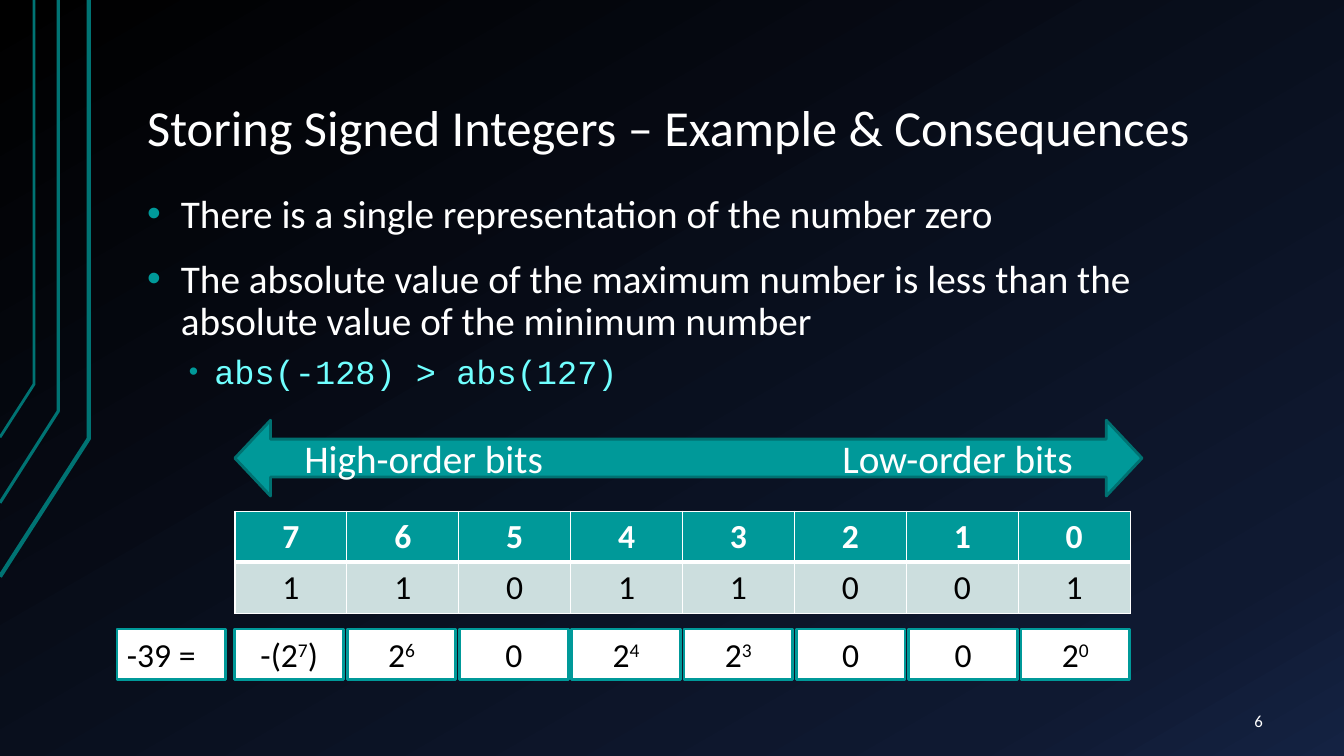
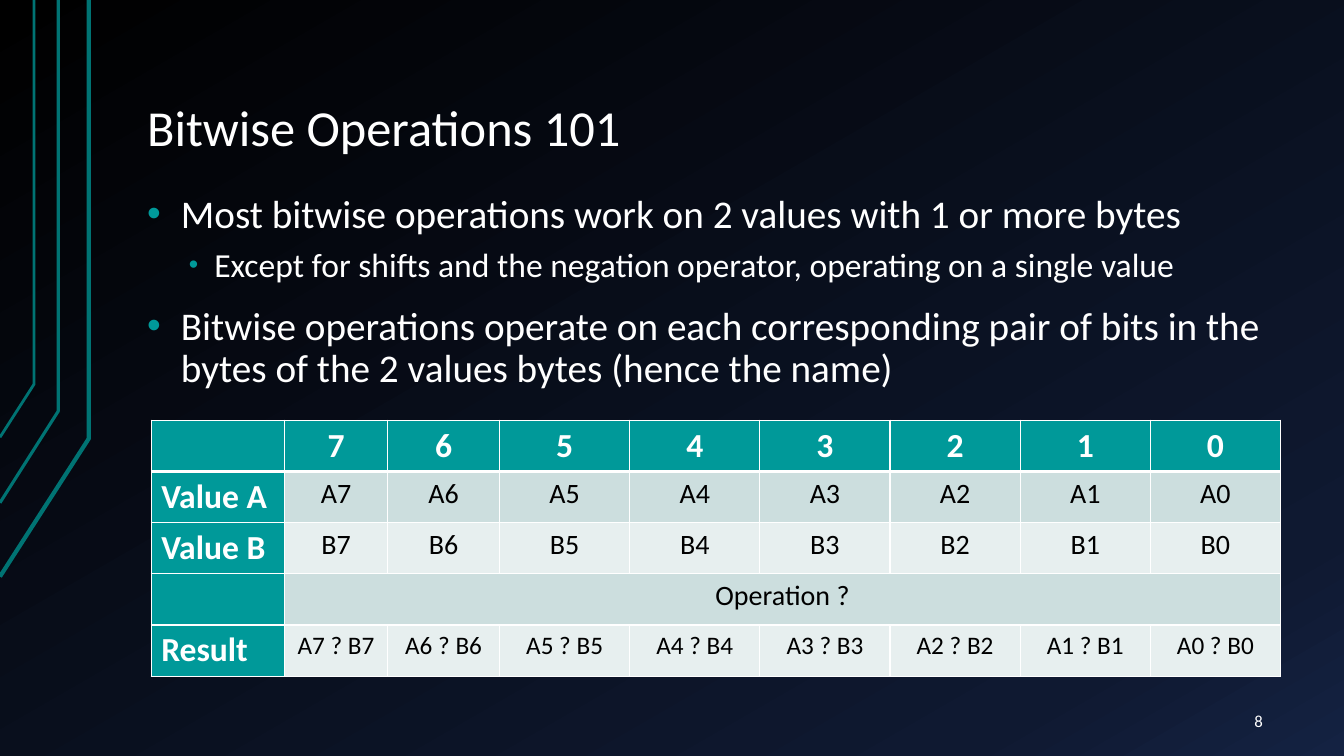
from copy import deepcopy
from typing import NamedTuple

from lxml import etree
from pptx import Presentation
from pptx.dml.color import RGBColor
from pptx.enum.shapes import MSO_SHAPE
from pptx.enum.text import MSO_ANCHOR, MSO_AUTO_SIZE, PP_ALIGN
from pptx.oxml.ns import qn
from pptx.presentation import Presentation as Deck
from pptx.slide import Slide
from pptx.table import _Cell
from pptx.text.text import TextFrame, _Paragraph
from pptx.util import Cm, Pt

LEFT, CENTER, RIGHT = PP_ALIGN.LEFT, PP_ALIGN.CENTER, PP_ALIGN.RIGHT
TOP, MIDDLE, BOTTOM = MSO_ANCHOR.TOP, MSO_ANCHOR.MIDDLE, MSO_ANCHOR.BOTTOM
NO_FIT = MSO_AUTO_SIZE.NONE
RECT, DOUBLE_ARROW = MSO_SHAPE.RECTANGLE, MSO_SHAPE.LEFT_RIGHT_ARROW

WHITE, BLACK, TEAL, AQUA = "FFFFFF", "000000", "009999", "70FFFF"
DARK_TEAL, ARROW_EDGE = "007373", "007171"
BAND, LIGHT_BAND = "CCDEDE", "E7EFEF"
BODY_FONT, CODE_FONT = "Calibri", "Courier New"
GRADIENT = [(0, BLACK), (0.85, "0F1931"), (1, "142242")]
ROW_HEIGHT = 1.29


class Box(NamedTuple):
    left: float
    top: float
    width: float
    height: float


class Bullet(NamedTuple):
    text: str
    level: int = 0
    font: str = BODY_FONT
    color: str = WHITE


class Level(NamedTuple):
    margin: float
    hanging: float
    size: int
    before: int
    bullet_pct: int


class Trace(NamedTuple):
    x: float
    bend_y: float
    end_y: float
    weight: float


class Power(NamedTuple):
    base: str
    exponent: str = ""
    tail: str = ""


TITLE_BOX = Box(3.38, 0.76, 28.78, 3.4)
BODY_BOX = Box(3.38, 4.72, 28.78, 12.4)
NUMBER_BOX = Box(29.34, 17.65, 2.82, 1.02)
LEVELS = [Level(0.85, 0.85, 28, 16, 100), Level(1.69, 0.64, 24, 8, 80)]
TRACES = [
    Trace(2.24, 11.05, 14.53, 3),
    Trace(1.47, 10.36, 12.67, 2.25),
    Trace(0.86, 9.68, 11.02, 2),
]


# Shared helpers
def rgb(value: str) -> RGBColor:
    return RGBColor.from_string(value)


def lengths(box: Box) -> tuple[Cm, ...]:
    return tuple(Cm(v) for v in box)


def place(sp, box: Box) -> None:
    sp.left, sp.top, sp.width, sp.height = lengths(box)


def add_run(p: _Paragraph, text: str, *, size: float, color: str = WHITE,
            font: str = BODY_FONT, bold: bool = False, raised: bool = False) -> None:
    r = p.add_run()
    r.text = text
    r.font.size, r.font.name, r.font.bold = Pt(size), font, bold
    r.font.color.rgb = rgb(color)
    if raised:
        r._r.get_or_add_rPr().set("baseline", "30000")


def frame(tf: TextFrame, anchor: MSO_ANCHOR) -> None:
    tf.word_wrap, tf.auto_size, tf.vertical_anchor = True, NO_FIT, anchor
    tf.margin_left = tf.margin_right = Cm(0.33)
    tf.margin_top = tf.margin_bottom = Cm(0.18)


def add_bullet_mark(p: _Paragraph, level: Level) -> None:
    pPr = p._p.get_or_add_pPr()
    pPr.set("marL", str(Cm(level.margin)))
    pPr.set("indent", str(-Cm(level.hanging)))
    color = etree.SubElement(pPr, qn("a:buClr"))
    etree.SubElement(color, qn("a:srgbClr"), val=TEAL)
    etree.SubElement(pPr, qn("a:buSzPct"), val=str(level.bullet_pct * 1000))
    etree.SubElement(pPr, qn("a:buFont"), typeface="Arial")
    etree.SubElement(pPr, qn("a:buChar"), char="•")


def add_box(slide: Slide, kind: MSO_SHAPE, box: Box, fill: str, edge: str):
    sp = slide.shapes.add_shape(kind, *lengths(box))
    sp.shadow.inherit = False
    sp.fill.solid()
    sp.fill.fore_color.rgb = rgb(fill)
    sp.line.color.rgb = rgb(edge)
    sp.line.width = Pt(2)
    return sp


# Master: gradient background and circuit traces
def paint_background(prs: Deck) -> None:
    fill = prs.slide_master.background.fill
    fill.gradient()
    fill.gradient_angle = 300
    stops = next(prs.slide_master.element.iter(qn("a:gsLst")))
    stops.insert(1, deepcopy(stops[0]))
    for stop, (position, color) in zip(fill.gradient_stops, GRADIENT):
        stop.position = position
        stop.color.rgb = rgb(color)


def add_traces(prs: Deck, slide: Slide) -> None:
    for trace in TRACES:
        builder = slide.shapes.build_freeform(0, Cm(trace.end_y))
        bend, top = (Cm(trace.x), Cm(trace.bend_y)), (Cm(trace.x), 0)
        builder.add_line_segments([bend, top], close=False)
        sp = builder.convert_to_shape()
        sp.shadow.inherit = False
        sp.fill.background()
        sp.line.color.rgb = rgb(DARK_TEAL)
        sp.line.width = Pt(trace.weight)
        prs.slide_master.shapes.element.append(sp.element)


# Title, list and slide number
def add_slide(prs: Deck, title: str, bullets: list[Bullet], number: int) -> Slide:
    slide = prs.slides.add_slide(prs.slide_layouts[1])
    head, body = slide.shapes.title, slide.placeholders[1]
    place(head, TITLE_BOX)
    frame(head.text_frame, BOTTOM)
    p = head.text_frame.paragraphs[0]
    p.alignment, p.line_spacing = LEFT, 0.9
    add_run(p, title, size=36)

    place(body, BODY_BOX)
    tf = body.text_frame
    frame(tf, TOP)
    for i, item in enumerate(bullets):
        p = tf.add_paragraph() if i else tf.paragraphs[0]
        level = LEVELS[item.level]
        p.level, p.line_spacing = item.level, 0.9
        p.space_before, p.space_after = Pt(level.before), Pt(0)
        add_bullet_mark(p, level)
        add_run(p, item.text, size=level.size, font=item.font, color=item.color)

    tf = slide.shapes.add_textbox(*lengths(NUMBER_BOX)).text_frame
    frame(tf, MIDDLE)
    tf.paragraphs[0].alignment = RIGHT
    add_run(tf.paragraphs[0], str(number), size=12)
    return slide


# Tables
def style_cell(cell: _Cell, fill: str, bottom: float = 1) -> None:
    cell.fill.solid()
    cell.fill.fore_color.rgb = rgb(fill)
    tcPr = cell._tc.get_or_add_tcPr()
    for i, (side, width) in enumerate(zip("LRTB", (1, 1, 1, bottom))):
        ln = etree.Element(qn(f"a:ln{side}"), w=str(Pt(width)))
        solid = etree.SubElement(ln, qn("a:solidFill"))
        etree.SubElement(solid, qn("a:srgbClr"), val=WHITE)
        tcPr.insert(i, ln)


def add_grid(slide: Slide, left: float, top: float, widths: list[float],
             rows: list[list[str]], bands: list[str], sizes: list[int],
             row_heads: bool = False) -> None:
    box = Box(left, top, sum(widths), ROW_HEIGHT * len(rows))
    table = slide.shapes.add_table(len(rows), len(widths), *lengths(box)).table
    table.first_row = table.horz_banding = False
    for column, width in zip(table.columns, widths):
        column.width = Cm(width)
    for i, row in enumerate(rows):
        table.rows[i].height = Cm(ROW_HEIGHT)
        if len(row) < len(widths):
            table.cell(i, len(row) - 1).merge(table.cell(i, len(widths) - 1))
        for j in range(len(widths)):
            cell = table.cell(i, j)
            row_head = row_heads and j == 0
            head = i == 0 or row_head
            style_cell(cell, TEAL if head else bands[i], 1 if i else 3)
            if j < len(row) and row[j]:
                p = cell.text_frame.paragraphs[0]
                p.alignment = LEFT if row_head else CENTER
                add_run(p, row[j], size=24 if head else sizes[i],
                        color=WHITE if head else BLACK, bold=head)


# Bit-order arrow and place values
def add_order_arrow(slide: Slide) -> None:
    sp = add_box(slide, DOUBLE_ARROW, Box(5.92, 10.59, 22.86, 1.91), TEAL, ARROW_EDGE)
    sp.adjustments[0], sp.adjustments[1] = 0.5, 0.471
    tf = sp.text_frame
    tf.word_wrap, tf.vertical_anchor, tf.margin_left = True, MIDDLE, Cm(1.3)
    p = tf.paragraphs[0]
    p.alignment = LEFT
    tabs = etree.SubElement(p._p.get_or_add_pPr(), qn("a:tabLst"))
    etree.SubElement(tabs, qn("a:tab"), pos=str(Cm(13.56)), algn="l")
    add_run(p, "High-order bits\tLow-order bits", size=28)


def add_place_value(slide: Slide, left: float, value: Power, align: PP_ALIGN) -> None:
    sp = add_box(slide, RECT, Box(left, 15.85, 2.74, 1.28), WHITE, TEAL)
    tf = sp.text_frame
    tf.word_wrap, tf.vertical_anchor = True, TOP
    p = tf.paragraphs[0]
    p.alignment = align
    for text, raised in zip(value, (False, True, False)):
        if text:
            add_run(p, text, size=24, color=BLACK, raised=raised)


prs = Presentation()
prs.slide_width, prs.slide_height = Cm(33.87), Cm(19.05)
paint_background(prs)
bits = [str(n) for n in range(7, -1, -1)]

# Signed integers
slide = add_slide(prs, "Storing Signed Integers – Example & Consequences", [
    Bullet("There is a single representation of the number zero"),
    Bullet("The absolute value of the maximum number is less than the "
           "absolute value of the minimum number"),
    Bullet("abs(-128) > abs(127)", 1, CODE_FONT, AQUA),
], 6)
add_traces(prs, slide)
add_grid(slide, 5.92, 12.88, [2.82] * 8, [bits, list("11011001")],
         [TEAL, BAND], [24, 24])
add_place_value(slide, 2.95, Power("-39 ="), LEFT)
values = [Power("-(2", "7", ")"), Power("2", "6"), Power("0"), Power("2", "4"),
          Power("2", "3"), Power("0"), Power("0"), Power("2", "0")]
for i, value in enumerate(values):
    add_place_value(slide, 5.92 + 2.83 * i, value, CENTER)
add_order_arrow(slide)

# Bitwise operations
slide = add_slide(prs, "Bitwise Operations 101", [
    Bullet("Most bitwise operations work on 2 values with 1 or more bytes"),
    Bullet("Except for shifts and the negation operator, operating on a single value", 1),
    Bullet("Bitwise operations operate on each corresponding pair of bits in the "
           "bytes of the 2 values bytes (hence the name)"),
], 8)
add_grid(slide, 3.81, 10.59, [3.36, 2.6, 2.82] + [3.28] * 6, [
    ["", *bits],
    ["Value A", *(f"A{n}" for n in bits)],
    ["Value B", *(f"B{n}" for n in bits)],
    ["", "Operation ?"],
    ["Result", *(f"A{n} ? B{n}" for n in bits)],
], [TEAL, BAND, LIGHT_BAND, BAND, LIGHT_BAND], [24, 20, 20, 20, 18], row_heads=True)

prs.save("out.pptx")
